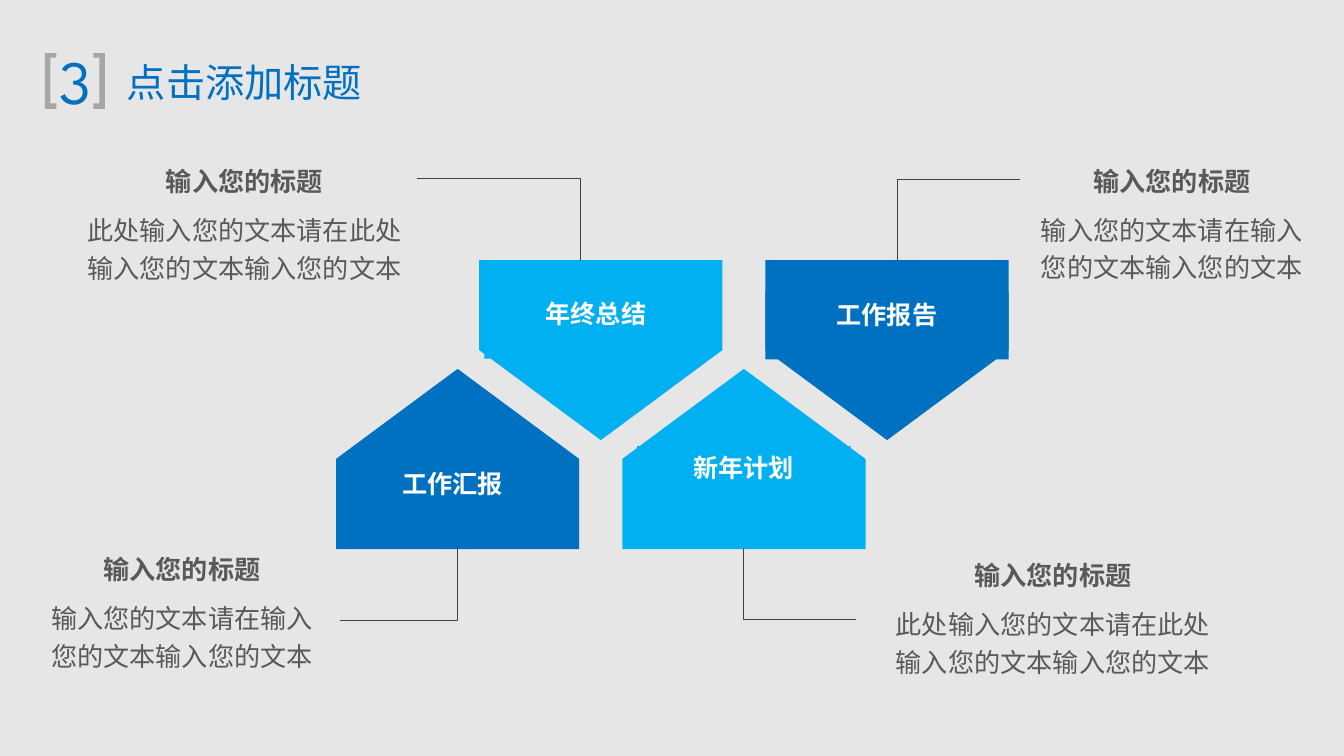
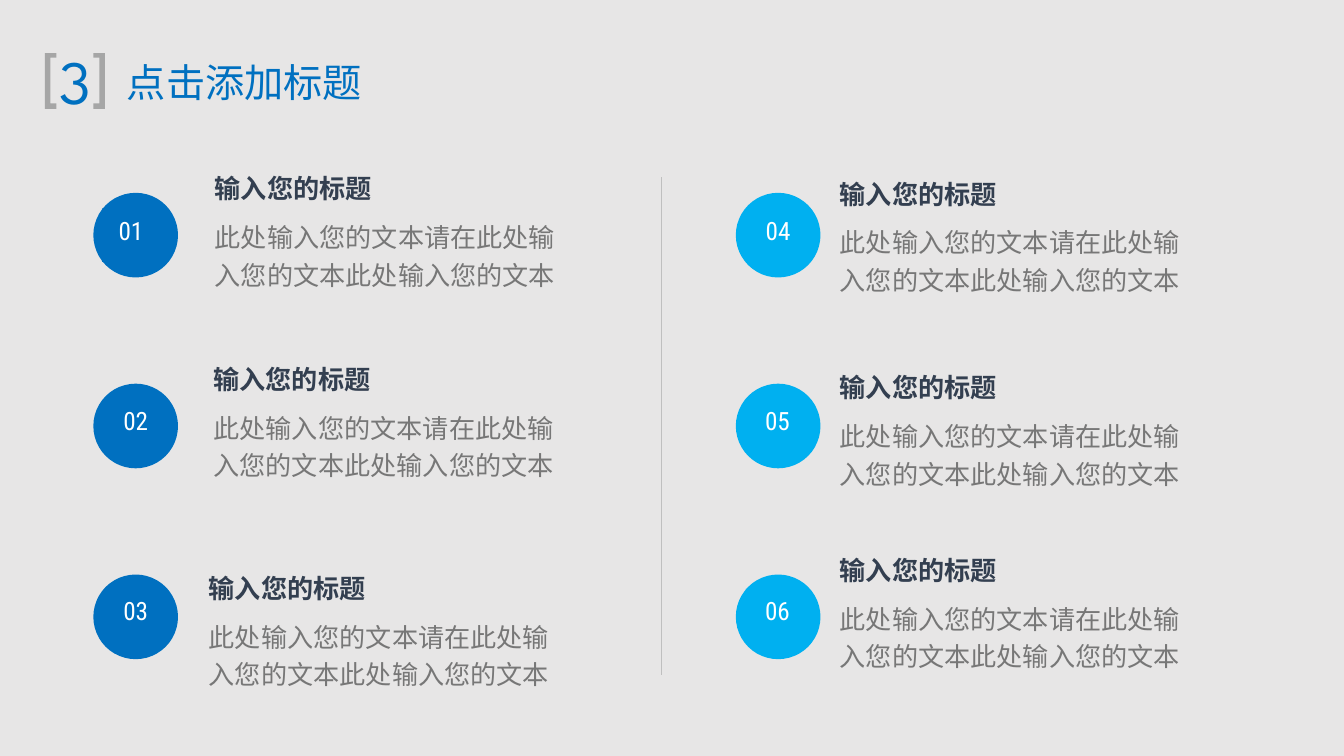
from dataclasses import dataclass

from lxml import etree
from pptx import Presentation
from pptx.dml.color import RGBColor
from pptx.enum.shapes import MSO_CONNECTOR, MSO_SHAPE
from pptx.enum.text import MSO_ANCHOR, MSO_AUTO_SIZE, PP_ALIGN
from pptx.oxml.ns import qn
from pptx.util import Pt

PX = 4572  # 200 px to the inch
LEFT, CENTER = PP_ALIGN.LEFT, PP_ALIGN.CENTER
TOP, MIDDLE = MSO_ANCHOR.TOP, MSO_ANCHOR.MIDDLE
PENTAGON, RECTANGLE, OVAL = MSO_SHAPE.PENTAGON, MSO_SHAPE.RECTANGLE, MSO_SHAPE.OVAL
STRAIGHT, ELBOW = MSO_CONNECTOR.STRAIGHT, MSO_CONNECTOR.ELBOW
NO_AUTOFIT = MSO_AUTO_SIZE.NONE


@dataclass(frozen=True)
class Theme:
    background: str = "E7E6E6"
    blue: str = "0070C0"
    sky: str = "00B0F0"
    bracket: str = "A6A6A6"
    white: str = "FFFFFF"
    leader: str = "404040"
    divider: str = "BFBFBF"
    gray: str = "595959"
    navy: str = "333F50"
    light_gray: str = "777777"
    display_font: str = "League Spartan"
    text_font: str = "Noto Sans CJK SC"
    number_font: str = "Roboto Condensed"
    title_size: float = 21
    section_size: float = 33
    label_size: float = 13.5
    text_size: float = 14
    line_width: float = 0.5


theme = Theme()


def write(paragraph, text, *, size, color, font, bold=False, align=CENTER,
          space_after=None, line_spacing=None):
    paragraph.alignment = align
    if space_after is not None:
        paragraph.space_after = Pt(space_after)
    if line_spacing is not None:
        paragraph.line_spacing = line_spacing
    run = paragraph.add_run()
    run.text = text
    run.font.size = Pt(size)
    run.font.bold = bold
    run.font.color.rgb = RGBColor.from_string(color)
    run.font.name = font
    east_asian = etree.Element(qn("a:ea"), typeface=font)
    run.font._element.find(qn("a:latin")).addnext(east_asian)


def add_filled(shapes, kind, box, color):
    shape = shapes.add_shape(kind, *[value * PX for value in box])
    shape.shadow.inherit = False
    shape.fill.solid()
    shape.fill.fore_color.rgb = RGBColor.from_string(color)
    shape.line.fill.background()
    return shape


presentation = Presentation()
presentation.slide_width, presentation.slide_height = 2000 * PX, 1125 * PX
background = presentation.slide_master.background.fill
background.solid()
background.fore_color.rgb = RGBColor.from_string(theme.background)
title_only = presentation.slide_layouts[5]

# Shared header: title and bracketed section number
BRACKET = [(67, 79), (84, 79), (84, 86), (75, 86), (75, 154), (84, 154), (84, 162), (67, 162)]
MIRRORED = [(223 - x, y) for x, y in BRACKET]
slides = [presentation.slides.add_slide(title_only) for _ in range(2)]
for slide in slides:
    title = slide.shapes.title
    title.left, title.top, title.width, title.height = 167 * PX, 77 * PX, 394 * PX, 90 * PX
    section = slide.shapes.add_textbox(65 * PX, 56 * PX, 94 * PX, 128 * PX)
    section.text_frame.margin_top = 8 * PX
    for box, text, size in ((title, "点击添加标题", theme.title_size),
                            (section, "3", theme.section_size)):
        frame = box.text_frame
        frame.word_wrap = False
        frame.auto_size = NO_AUTOFIT
        frame.vertical_anchor = MIDDLE
        write(frame.paragraphs[0], text, size=size, color=theme.blue, font=theme.display_font)
    for points in (BRACKET, MIRRORED):
        builder = slide.shapes.build_freeform(*points[0], scale=PX)
        builder.add_line_segments(points[1:])
        bracket = builder.convert_to_shape()
        bracket.shadow.inherit = False
        bracket.fill.solid()
        bracket.fill.fore_color.rgb = RGBColor.from_string(theme.bracket)
        bracket.line.fill.background()

diagram_slide, list_slide = slides

# Interlocking pentagons
PENTAGONS = [
    ("工作汇报", 547, 502, 270, theme.blue, (515, 687, 318, 100)),
    ("新年计划", 973, 502, 270, theme.sky, (948, 664, 318, 100)),
    ("年终总结", 760, 340, 90, theme.sky, (721, 434, 332, 100)),
    ("工作报告", 1186, 340, 90, theme.blue, (1139, 435, 362, 100)),
]
for text, left, top, rotation, color, label_box in PENTAGONS:
    group = diagram_slide.shapes.add_group_shape()
    pentagon = add_filled(group.shapes, PENTAGON, (left, top, 268, 362), color)
    pentagon.rotation = rotation
    label = add_filled(group.shapes, RECTANGLE, label_box, color)
    label.text_frame.vertical_anchor = TOP
    write(label.text_frame.paragraphs[0], text, size=theme.label_size,
          color=theme.white, font=theme.text_font, bold=True)

# Numbered circles: three rows in two columns
CIRCLE_COLUMNS = [
    (139, theme.blue, [(152, 86), (156, 92), (155, 94)]),
    (1095, theme.sky, [(1112, 92), (1110, 94), (1110, 94)]),
]
LABEL_TOPS = [310, 593, 876]
number = 0
for left, color, label_spans in CIRCLE_COLUMNS:
    for row, (label_left, label_width) in enumerate(label_spans):
        number += 1
        group = list_slide.shapes.add_group_shape()
        add_filled(group.shapes, OVAL, (left, 287 + 284 * row, 126, 126), color)
        label = add_filled(group.shapes, RECTANGLE,
                           (label_left, LABEL_TOPS[row], label_width, 80), color)
        label.text_frame.word_wrap = False
        label.text_frame.vertical_anchor = TOP
        write(label.text_frame.paragraphs[0], f"{number:02}", size=theme.label_size,
              color=theme.white, font=theme.number_font)

# Leader lines run level from the text, then turn once towards the pentagon
LINES = [
    (diagram_slide, ELBOW, (620, 266, 864, 388), theme.leader),
    (diagram_slide, ELBOW, (1518, 267, 1336, 388), theme.leader),
    (diagram_slide, ELBOW, (506, 924, 681, 816), theme.leader),
    (diagram_slide, ELBOW, (1274, 922, 1106, 816), theme.leader),
    (list_slide, STRAIGHT, (984, 264, 984, 1004), theme.divider),
]
for slide, kind, ends, color in LINES:
    connector = slide.shapes.add_connector(kind, *[value * PX for value in ends])
    connector.line.color.rgb = RGBColor.from_string(color)
    connector.line.width = Pt(theme.line_width)
    properties = connector._element.spPr
    etree.SubElement(properties, qn("a:effectLst"))
    if kind == ELBOW:
        properties.find(qn("a:prstGeom")).set("prst", "bentConnector2")

# Heading and body text blocks
HEADING = "输入您的标题"
WIDE = "此处输入您的文本请在此处输入您的文本输入您的文本"
NARROW = "输入您的文本请在输入您的文本输入您的文本"
LONG = "此处输入您的文本请在此处输入您的文本此处输入您的文本"
CALLOUTS = [
    ((109, 237, 510, 212), WIDE),
    ((39, 814, 464, 184), NARROW),
    ((1512, 236, 464, 198), NARROW),
    ((1312, 823, 510, 212), WIDE),
]
ITEMS = [
    ((300, 247, 558, 186), LONG),
    ((298, 531, 566, 192), LONG),
    ((291, 842, 566, 192), LONG),
    *[((1230, top, 574, 220), LONG) for top in (255, 543, 815)],
]
for slide, blocks, align, heading_color, body_color in (
        (diagram_slide, CALLOUTS, CENTER, theme.gray, theme.gray),
        (list_slide, ITEMS, LEFT, theme.navy, theme.light_gray)):
    for box, body in blocks:
        frame = slide.shapes.add_textbox(*[value * PX for value in box]).text_frame
        frame.word_wrap = True
        write(frame.paragraphs[0], HEADING, size=theme.text_size, color=heading_color,
              font=theme.text_font, bold=True, align=align, space_after=6)
        write(frame.add_paragraph(), body, size=theme.text_size, color=body_color,
              font=theme.text_font, align=align, line_spacing=1.2)

presentation.save("out.pptx")
